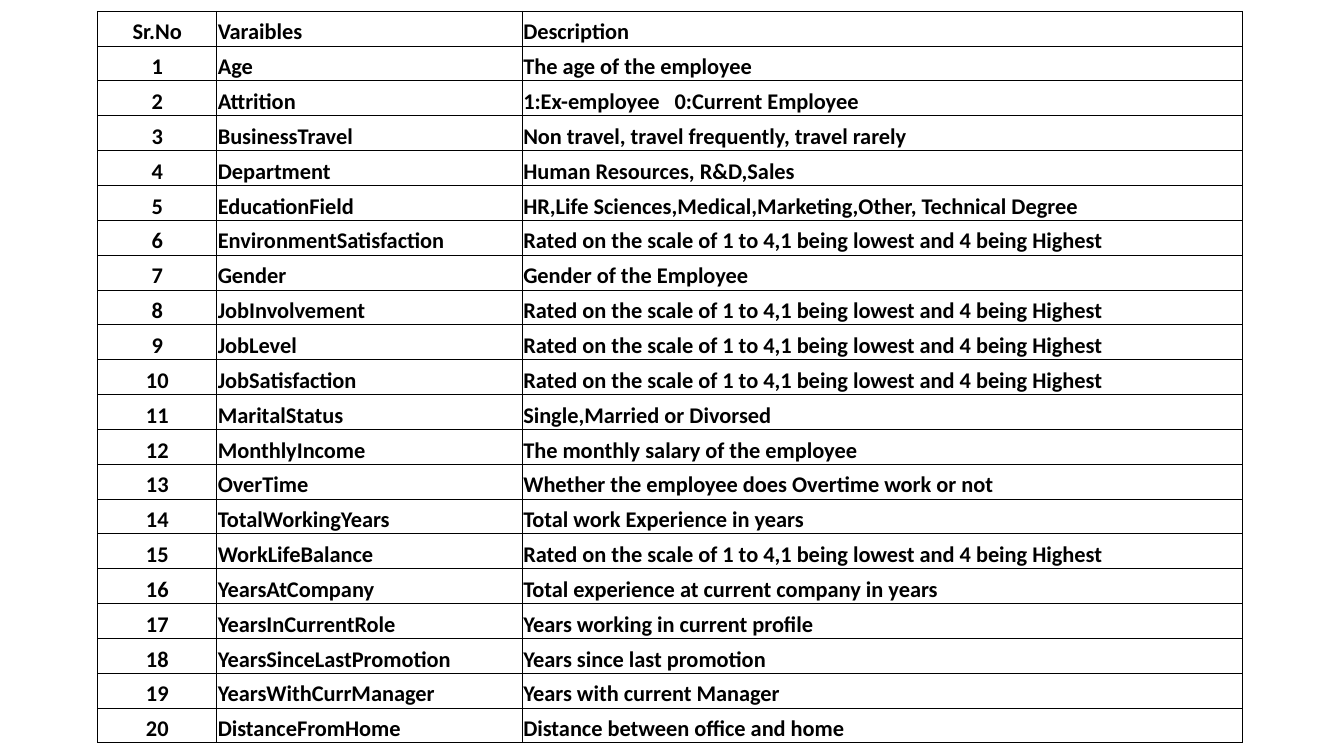
import pptx
import pptx.util
import pptx.dml.color
import pptx.enum.text
import lxml.etree
from pptx.util import Inches

RATED = "Rated on the scale of 1 to 4,1 being lowest and 4 being Highest"
HEAD = ("Sr.No", "Varaibles", "Description")
FIELDS = [
    ("Age", "The age of the employee"),
    ("Attrition", "1:Ex-employee   0:Current Employee"),
    ("BusinessTravel", "Non travel, travel frequently, travel rarely"),
    ("Department", "Human Resources, R&D,Sales"),
    ("EducationField", "HR,Life Sciences,Medical,Marketing,Other, Technical Degree"),
    ("EnvironmentSatisfaction", RATED),
    ("Gender", "Gender of the Employee"),
    ("JobInvolvement", RATED),
    ("JobLevel", RATED),
    ("JobSatisfaction", RATED),
    ("MaritalStatus", "Single,Married or Divorsed"),
    ("MonthlyIncome", "The monthly salary of the employee"),
    ("OverTime", "Whether the employee does Overtime work or not"),
    ("TotalWorkingYears", "Total work Experience in years"),
    ("WorkLifeBalance", RATED),
    ("YearsAtCompany", "Total experience at current company in years"),
    ("YearsInCurrentRole", "Years working in current profile"),
    ("YearsSinceLastPromotion", "Years since last promotion"),
    ("YearsWithCurrManager", "Years with current Manager"),
    ("DistanceFromHome", "Distance between office and home"),
]
WIDTHS = (1.18, 3.03, 7.14)
ALIGN = pptx.enum.text.PP_ALIGN
ALIGNS = (ALIGN.CENTER, ALIGN.LEFT, ALIGN.LEFT)
BLACK = "000000"
FONT = {"name": "Calibri", "size": pptx.util.Pt(16), "bold": True}
CELL = {
    "margin_left": Inches(0.01),
    "margin_right": Inches(0.01),
    "margin_top": Inches(0.01),
    "margin_bottom": 0,
    "vertical_anchor": pptx.enum.text.MSO_ANCHOR.BOTTOM,
}
FLAGS = {"first_row": False, "horz_banding": False}


def color(code):
    return pptx.dml.color.RGBColor.from_string(code)


def apply(item, values):
    for name, value in values.items():
        setattr(item, name, value)


def border(cell, code, width):
    props = cell._tc.get_or_add_tcPr()
    for side in ("lnL", "lnR", "lnT", "lnB"):
        line = lxml.etree.SubElement(props, pptx.oxml.ns.qn("a:" + side))
        line.set("w", str(pptx.util.Pt(width)))
        fill = lxml.etree.SubElement(line, pptx.oxml.ns.qn("a:solidFill"))
        lxml.etree.SubElement(fill, pptx.oxml.ns.qn("a:srgbClr")).set("val", code)


def write(cell, text, align):
    apply(cell, CELL)
    border(cell, BLACK, 0.5)
    cell.fill.background()
    para = cell.text_frame.paragraphs[0]
    para.alignment = align
    run = para.add_run()
    run.text = text
    apply(run.font, FONT)
    run.font.color.rgb = color(BLACK)


def grid(slide, rows):
    frame = slide.shapes.add_table(
        len(rows), len(WIDTHS), Inches(0.97), Inches(0.11),
        Inches(sum(WIDTHS)), Inches(7.26))
    table = frame.table
    apply(table, FLAGS)
    for column, width in zip(table.columns, WIDTHS):
        column.width = Inches(width)
    for row, texts in zip(table.rows, rows):
        for cell, text, align in zip(row.cells, texts, ALIGNS):
            write(cell, text, align)


def main():
    deck = pptx.Presentation()
    apply(deck, {"slide_width": Inches(13.33), "slide_height": Inches(7.5)})
    slide = deck.slides.add_slide(deck.slide_layouts[6])
    rows = [(str(number), *field) for number, field in enumerate(FIELDS, 1)]
    grid(slide, [HEAD, *rows])
    deck.save("out.pptx")


main()
